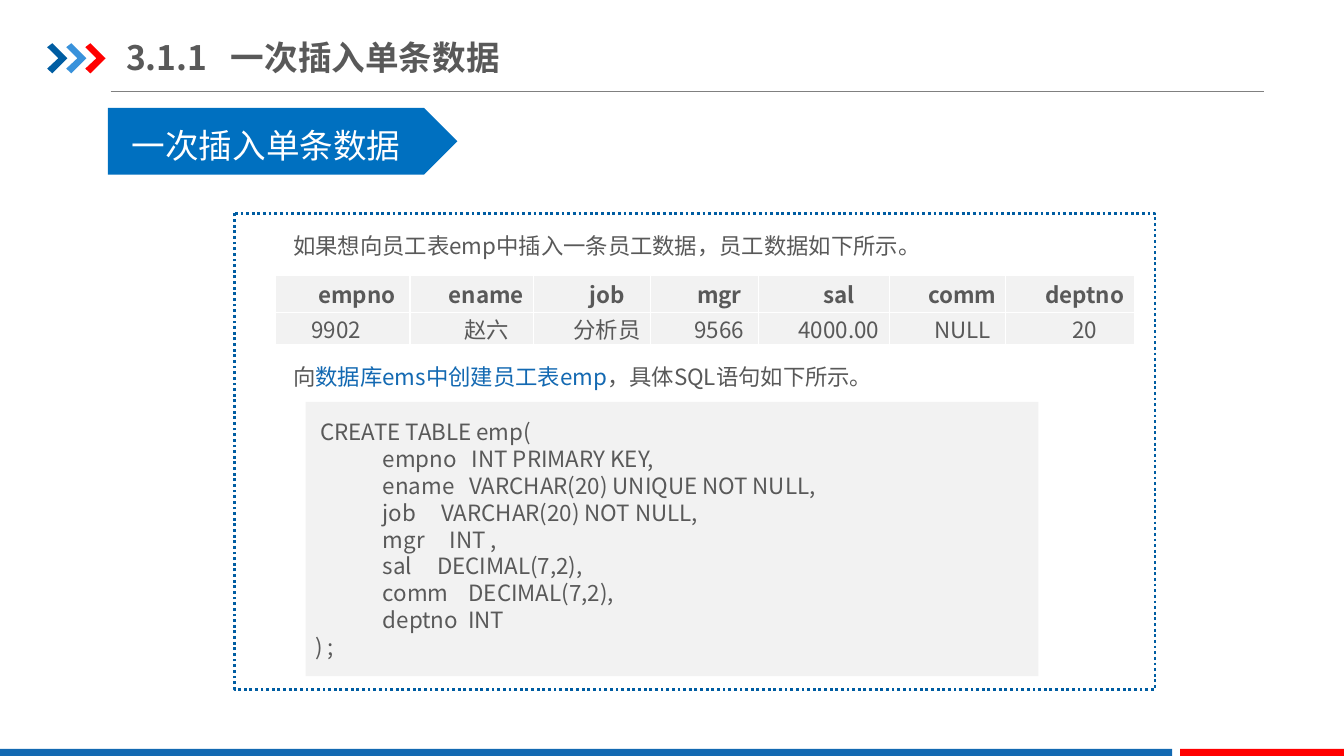
from lxml.etree import SubElement as Sub
from pptx import Presentation
from pptx.dml.color import RGBColor as RGB
from pptx.enum.dml import MSO_LINE as Dash
from pptx.enum.shapes import MSO_CONNECTOR as Conn, MSO_SHAPE as Kind
from pptx.enum.text import MSO_ANCHOR as Anchor, MSO_AUTO_SIZE as Auto, PP_ALIGN as Align
from pptx.oxml.ns import qn
from pptx.util import Cm, Pt

FONT = "Noto Sans CJK SC"
HUES = {"text": "595959", "navy": "005DA2", "sky": "3992DB", "red": "FF0000",
        "blue": "1369B2", "tag": "0070C0", "pale": "F2F2F2", "white": "FFFFFF",
        "rule": "808080"}
HEAD = ["empno", "ename", "job", "mgr", "sal", "comm", "deptno"]
DATA = ["9902", "赵六", "分析员", "9566", "4000.00", "NULL", "20"]
COLS = [3.4, 3.12, 2.95, 2.72, 3.3, 2.92, 3.25]
ROWS = [0.94, 0.81]
CODE = [" CREATE TABLE emp(",
        "empno   INT PRIMARY KEY,",
        "ename   VARCHAR(20) UNIQUE NOT NULL,",
        "job     VARCHAR(20) NOT NULL,",
        "mgr     INT ,",
        "sal     DECIMAL(7,2),",
        "comm    DECIMAL(7,2),",
        "deptno  INT",
        ") ;"]


def hue(name):
    """Return the named colour."""
    return RGB.from_string(HUES[name])


def put(item, **vals):
    """Set each given value on the item."""
    for key, val in vals.items():
        setattr(item, key, val)


def write(para, text, size=16, tone="text", bold=False):
    """Add one styled run to the paragraph."""
    run = para.add_run()
    run.text = text
    put(run.font, size=Pt(size), bold=bold, name=FONT)
    run.font.color.rgb = hue(tone)
    Sub(run.font._element, qn("a:ea"), typeface=FONT)


def dent(para, left=0, first=0):
    """Set the left margin and first-line indent of the paragraph."""
    props = para._p.get_or_add_pPr()
    props.set("marL", str(Cm(left)))
    props.set("indent", str(Cm(first)))


def paint(shape, tone):
    """Give the shape a plain fill with no line or shadow."""
    shape.shadow.inherit = False
    shape.fill.solid()
    shape.fill.fore_color.rgb = hue(tone)
    shape.line.fill.background()


def block(slide, box, tone, kind=Kind.RECTANGLE):
    """Draw a plain filled shape in the box."""
    shape = slide.shapes.add_shape(kind, *map(Cm, box))
    paint(shape, tone)
    return shape


def label(slide, box, parts, size=16):
    """Write one line of (text, tone) parts in a growing text box."""
    frame = slide.shapes.add_textbox(*map(Cm, box)).text_frame
    put(frame, word_wrap=True, auto_size=Auto.SHAPE_TO_FIT_TEXT)
    para = frame.paragraphs[0]
    para.line_spacing = 1.5
    for text, tone in parts:
        write(para, text, size, tone)


def arrows(slide, x, y):
    """Draw the three chevrons from the given corner."""
    spots = [(0, 0.1), (0.13, 0), (0.51, 0.38), (0.13, 0.76), (0, 0.64), (0.28, 0.38)]
    for i, tone in enumerate(["navy", "sky", "red"]):
        pts = [(Cm(x + 0.48 * i + dx), Cm(y + dy)) for dx, dy in spots]
        build = slide.shapes.build_freeform(*pts[0])
        build.add_line_segments(pts[1:], close=True)
        paint(build.convert_to_shape(), tone)


def header(slide, x, y):
    """Draw the chevrons, section title and rule."""
    arrows(slide, x, y + 0.35)
    rule = slide.shapes.add_connector(Conn.STRAIGHT, Cm(x + 1.6), Cm(y + 1.57),
                                      Cm(x + 30.66), Cm(y + 1.57))
    rule.line.color.rgb = hue("rule")
    rule.line.width = Pt(0.75)
    Sub(rule._element.spPr, qn("a:effectLst"))
    frame = slide.shapes.add_textbox(Cm(x + 1.99), Cm(y), Cm(10.82), Cm(1.4)).text_frame
    put(frame, word_wrap=True, vertical_anchor=Anchor.MIDDLE,
        margin_left=0, margin_right=0)
    para = frame.paragraphs[0]
    tabs = Sub(para._p.get_or_add_pPr(), qn("a:tabLst"))
    Sub(tabs, qn("a:tab"), pos=str(Cm(2.64)), algn="l")
    write(para, "3.1.1\t一次插入单条数据", 24, bold=True)


def banner(slide, x, y):
    """Draw the pointed topic banner with its text."""
    block(slide, (x, y, 8.81, 1.68), "tag", Kind.PENTAGON)
    label(slide, (x + 0.35, y - 0.21, 8.13, 1.8), [("一次插入单条数据", "white")], 24)


def edge(cell):
    """Give the cell thin white borders."""
    props = cell._tc.get_or_add_tcPr()
    for side in "LRTB":
        line = Sub(props, qn("a:ln" + side), w=str(Pt(1)))
        fill = Sub(line, qn("a:solidFill"))
        Sub(fill, qn("a:srgbClr"), val=HUES["white"])


def grid(slide, x, y):
    """Draw the employee table."""
    box = map(Cm, (x, y, sum(COLS), sum(ROWS)))
    table = slide.shapes.add_table(len(ROWS), len(COLS), *box).table
    put(table, first_row=False, horz_banding=False)
    for col, width in zip(table.columns, COLS):
        col.width = Cm(width)
    for r, words in enumerate([HEAD, DATA]):
        table.rows[r].height = Cm(ROWS[r])
        for c, word in enumerate(words):
            cell = table.cell(r, c)
            put(cell, margin_left=Cm(0.18), margin_right=Cm(0.18), margin_top=0,
                margin_bottom=0, vertical_anchor=Anchor.MIDDLE)
            edge(cell)
            cell.fill.solid()
            cell.fill.fore_color.rgb = hue("pale")
            para = cell.text_frame.paragraphs[0]
            para.alignment = Align.JUSTIFY if (r, c) == (1, 0) else Align.CENTER
            dent(para, first=0.74)
            write(para, word, bold=r == 0)


def script(slide, box):
    """Write the SQL statement on a pale panel."""
    frame = block(slide, box, "pale").text_frame
    put(frame, word_wrap=True, vertical_anchor=Anchor.MIDDLE)
    for i, line in enumerate(CODE):
        para = frame.add_paragraph() if i else frame.paragraphs[0]
        para.alignment = Align.LEFT
        if 0 < i < len(CODE) - 1:
            para.level = 1
            dent(para, left=1.7)
        write(para, line)


def panel(slide, x, y):
    """Draw the dotted frame with its texts, table and code."""
    frame = block(slide, (x, y, 23.19, 11.99), "white", Kind.FLOWCHART_PROCESS)
    frame.line.color.rgb = hue("navy")
    put(frame.line, width=Pt(2), dash_style=Dash.ROUND_DOT)
    label(slide, (x + 1.22, y, 20.85, 1.27),
          [("如果想向员工表emp中插入一条员工数据，员工数据如下所示。", "text")])
    grid(slide, x + 1.01, y + 1.55)
    label(slide, (x + 1.22, y + 3.31, 20.85, 1.27),
          [("向", "text"), ("数据库ems中创建员工表emp", "blue"),
           ("，具体SQL语句如下所示。", "text")])
    script(slide, (x + 1.78, y + 4.75, 18.47, 6.91))


def footer(slide, y):
    """Draw the two-colour strip along the bottom."""
    block(slide, (0, y, 29.54, 0.18), "blue")
    block(slide, (29.74, y, 4.13, 0.18), "red")


def main():
    """Build and save the slide."""
    deck = Presentation()
    put(deck, slide_width=Cm(33.87), slide_height=Cm(19.05))
    slide = deck.slides.add_slide(deck.slide_layouts[6])
    header(slide, 1.19, 0.74)
    footer(slide, 18.87)
    panel(slide, 5.92, 5.38)
    banner(slide, 2.72, 2.72)
    deck.save("out.pptx")


if __name__ == "__main__":
    main()
